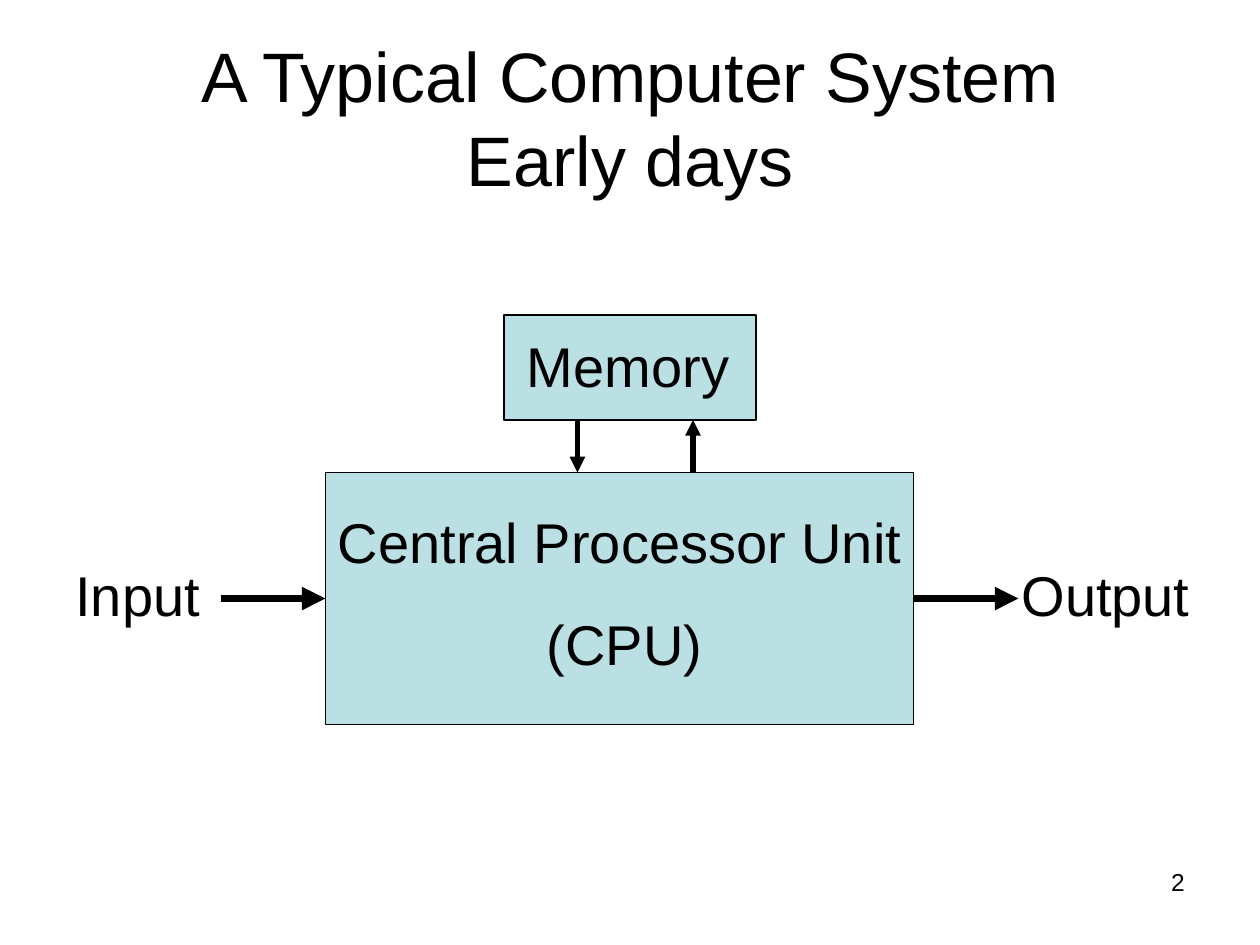
from dataclasses import dataclass

from lxml import etree
from pptx import Presentation
from pptx.dml.color import RGBColor
from pptx.enum.shapes import MSO_CONNECTOR, MSO_SHAPE
from pptx.enum.text import MSO_ANCHOR, MSO_AUTO_SIZE, PP_ALIGN
from pptx.oxml.ns import qn
from pptx.util import Inches, Pt

LEFT, CENTER, RIGHT = PP_ALIGN.LEFT, PP_ALIGN.CENTER, PP_ALIGN.RIGHT
RECTANGLE, STRAIGHT = MSO_SHAPE.RECTANGLE, MSO_CONNECTOR.STRAIGHT
COLORS = {"ink": "000000", "block": "BBE0E3", "paper": "FFFFFF"}
FONT = "Arial"
CELLS_PER_INCH = 12
TITLE_ONLY = 5


@dataclass(frozen=True)
class Area:
    """Position and size in grid columns and rows."""
    column: float
    row: float
    columns: float
    rows: float

    def lengths(self):
        return [cells(n) for n in (self.column, self.row, self.columns, self.rows)]


@dataclass(frozen=True)
class Label:
    area: Area
    lines: tuple[str, ...]
    aligns: tuple[PP_ALIGN, ...] = (LEFT,)
    size: int = 32


@dataclass(frozen=True)
class Arrow:
    start: tuple[float, float]
    end: tuple[float, float]
    width: float


TITLE_AREA = Area(6, 3.6, 108, 15)
BLOCKS = (
    Area(31, 45, 56, 24),  # processor
    Area(48, 30, 24, 10),  # memory
)
LABELS = (
    Label(Area(31, 47.75, 57, 17.4), ("Central Processor Unit", "(CPU)"), (LEFT, CENTER)),
    Label(Area(6, 52.75, 16, 7.7), ("Input",)),
    Label(Area(49, 31, 22, 7.7), ("Memory",)),
    Label(Area(96.1, 52.8, 22, 7.7), ("Output",)),
    Label(Area(86, 82, 28, 6.25), ("2",), (RIGHT,), 14),
)
ARROWS = (
    Arrow((21, 57), (31, 57), 4.5),
    Arrow((87, 57), (97, 57), 4.5),
    Arrow((55, 40), (55, 45), 3),
    Arrow((66, 45), (66, 40), 3),
)


def cells(count: float) -> int:
    return Inches(count / CELLS_PER_INCH)


def color(name: str) -> RGBColor:
    return RGBColor.from_string(COLORS[name])


def style_paragraph(para, size: int, align: PP_ALIGN) -> None:
    para.alignment = align
    para.font.name = FONT
    para.font.size = Pt(size)
    para.font.color.rgb = color("ink")


def set_title(page, text: str) -> None:
    title = page.shapes.title
    title.left, title.top, title.width, title.height = TITLE_AREA.lengths()
    frame = title.text_frame
    frame.text = text
    frame.auto_size = MSO_AUTO_SIZE.NONE
    frame.vertical_anchor = MSO_ANCHOR.MIDDLE
    style_paragraph(frame.paragraphs[0], 40, CENTER)


def draw_block(page, area: Area) -> None:
    block = page.shapes.add_shape(RECTANGLE, *area.lengths())
    block.shadow.inherit = False
    block.fill.solid()
    block.fill.fore_color.rgb = color("block")
    block.line.color.rgb = color("ink")
    block.line.width = Pt(0.75)


def draw_label(page, label: Label) -> None:
    frame = page.shapes.add_textbox(*label.area.lengths()).text_frame
    frame.word_wrap = True
    for index, (line, align) in enumerate(zip(label.lines, label.aligns)):
        para = frame.add_paragraph() if index else frame.paragraphs[0]
        para.text = line
        if index:
            para.space_before = Pt(20)
        style_paragraph(para, label.size, align)


def draw_arrow(page, arrow: Arrow) -> None:
    ends = [cells(n) for n in (*arrow.start, *arrow.end)]
    connector = page.shapes.add_connector(STRAIGHT, *ends)
    connector.line.color.rgb = color("ink")
    connector.line.width = Pt(arrow.width)
    etree.SubElement(connector.line._get_or_add_ln(), qn("a:tailEnd"), type="triangle")
    etree.SubElement(connector._element.spPr, qn("a:effectLst"))


def main() -> None:
    deck = Presentation()
    deck.slide_width, deck.slide_height = cells(120), cells(90)
    page = deck.slides.add_slide(deck.slide_layouts[TITLE_ONLY])
    page.background.fill.solid()
    page.background.fill.fore_color.rgb = color("paper")
    set_title(page, "A Typical Computer System\vEarly days")
    for area in BLOCKS:
        draw_block(page, area)
    for label in LABELS:
        draw_label(page, label)
    for arrow in ARROWS:
        draw_arrow(page, arrow)
    deck.save("out.pptx")


if __name__ == "__main__":
    main()
